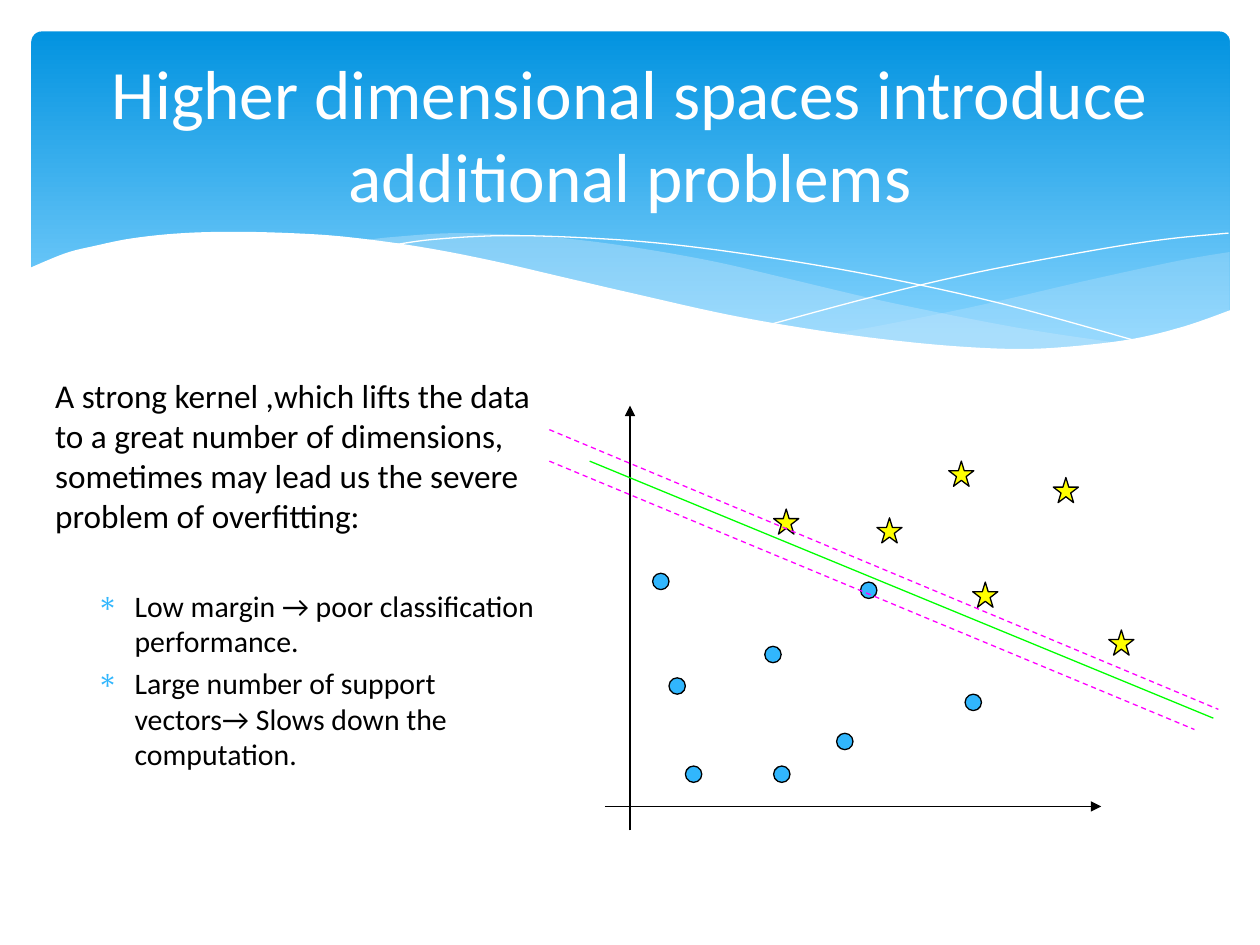
from dataclasses import dataclass
from lxml.etree import SubElement
from pptx import Presentation
from pptx.dml.color import RGBColor
from pptx.enum.dml import MSO_LINE
from pptx.enum.shapes import MSO_CONNECTOR, MSO_SHAPE
from pptx.enum.text import MSO_ANCHOR, MSO_AUTO_SIZE, PP_ALIGN
from pptx.oxml.ns import qn
from pptx.util import Inches, Pt


@dataclass(frozen=True)
class Theme:
    font: str = "Calibri"
    title_size: float = 39.6
    body_size: float = 19
    bullet_size: float = 17
    stroke: float = 0.75
    black: str = "000000"
    white: str = "FFFFFF"
    sky_dark: str = "0293E0"
    sky_light: str = "83D3FE"
    wave: str = "C6E7FC"
    accent: str = "31B6FD"
    star: str = "FFFF00"
    boundary: str = "00FF00"
    margin: str = "FF00FF"


THEME = Theme()

TITLE = "Higher dimensional spaces introduce additional problems"
INTRO = ("A strong kernel ,which lifts the data to a great number of dimensions, "
         "sometimes may lead us the severe problem of overfitting:")
DRAWBACKS = ["Low margin → poor classification performance.",
             "Large number of support vectors→ Slows down the computation."]

RIGHT_WAVE = [
    [(9.76, 2), (9.35, 2.07), (8.61, 2.23), (7.79, 2.42), (7.06, 2.57), (6.61, 2.65)],
    [(6.61, 2.65), (7.05, 2.71), (7.57, 2.76), (8.03, 2.78), (8.54, 2.76),
     (8.97, 2.7), (9.35, 2.62), (9.76, 2.47)],
]
LEFT_WAVE = [
    [(8.93, 2.73), (8.07, 2.6), (7.06, 2.4), (6.29, 2.22), (5.69, 2.08), (5.14, 1.98),
     (4.65, 1.91), (4.2, 1.87), (3.61, 1.85), (3.13, 1.88), (2.86, 1.91)],
    [(2.86, 1.91), (3.42, 1.99), (4.04, 2.11), (4.91, 2.32), (5.66, 2.48), (6.34, 2.61),
     (6.95, 2.7), (7.48, 2.76), (8.07, 2.78), (8.57, 2.77), (8.93, 2.73)],
]
FALLING_CURVE = [[(3.09, 1.95), (3.44, 1.9), (4.01, 1.87), (4.69, 1.89), (5.33, 1.94),
                  (6.08, 2.04), (6.95, 2.19), (7.95, 2.41), (9.07, 2.72)]]
RISING_CURVE = [[(6.13, 2.57), (6.95, 2.35), (7.76, 2.16), (8.66, 1.99), (9.24, 1.9), (9.75, 1.85)]]
WHITE_WAVE = [
    [(9.77, 2.46), (9.4, 2.59), (8.99, 2.69), (8.5, 2.75), (8.09, 2.77), (7.61, 2.75),
     (7.08, 2.7), (6.48, 2.62), (5.79, 2.5), (5.03, 2.33), (4.47, 2.2), (3.91, 2.07),
     (3.4, 1.97), (2.92, 1.9), (2.5, 1.86), (1.93, 1.84), (1.46, 1.85), (1.06, 1.89),
     (0.76, 1.95), (0.52, 2.01), (0.23, 2.13)],
    [(0.23, 3.29), (9.77, 3.29)],
]

DOTS = [(5.31, 5.38), (6.07, 5.13), (5.44, 6.08), (6.83, 4.62),
        (6.14, 6.08), (5.18, 4.55), (7.66, 5.51), (6.64, 5.82)]
STARS = [(6.14, 4.04), (8.36, 3.79), (7.53, 3.66), (6.96, 4.11), (7.72, 4.62), (8.8, 5)]


def rgb(color):
    return RGBColor.from_string(color)


def smooth_curve(knots, steps=6):
    ends = [knots[0], *knots, knots[-1]]
    curve = [knots[0]]
    for a, b, c, d in zip(ends, ends[1:], ends[2:], ends[3:]):
        for t in (step / steps for step in range(1, steps + 1)):
            curve.append(tuple(
                (2 * q + (r - p) * t + (2 * p - 5 * q + 4 * r - s) * t ** 2
                 + (3 * q - p - 3 * r + s) * t ** 3) / 2
                for p, q, r, s in zip(a, b, c, d)))
    return curve


def add_wave(slide, edges, fill=None, opacity=100, line=None):
    outline = [(Inches(x), Inches(y)) for edge in edges for x, y in smooth_curve(edge)]
    builder = slide.shapes.build_freeform(*outline[0], scale=1.0)
    builder.add_line_segments(outline[1:], close=fill is not None)
    wave = builder.convert_to_shape()
    wave.shadow.inherit = False
    if fill:
        wave.fill.solid()
        wave.fill.fore_color.rgb = rgb(fill)
        tint = wave.fill._xPr.find(qn("a:solidFill"))[0]
        SubElement(tint, qn("a:alpha"), val=str(opacity * 1000))
    else:
        wave.fill.background()
    if line:
        wave.line.color.rgb = rgb(line)
        wave.line.width = Pt(0)
    else:
        wave.line.fill.background()


def add_banner(slide):
    banner = slide.shapes.add_shape(MSO_SHAPE.ROUNDED_RECTANGLE, Inches(0.25), Inches(0.25),
                                    Inches(9.51), Inches(2.7))
    banner.adjustments[0] = 0.03
    banner.shadow.inherit = False
    banner.line.fill.background()
    banner.fill.gradient()
    banner.fill.gradient_angle = 270
    shades = [(0, THEME.sky_dark), (0.9, THEME.sky_light)]
    for stop, (position, color) in zip(banner.fill.gradient_stops, shades):
        stop.position = position
        stop.color.rgb = rgb(color)
    add_wave(slide, RIGHT_WAVE, THEME.wave, 29)
    add_wave(slide, LEFT_WAVE, THEME.wave, 40)
    add_wave(slide, FALLING_CURVE, line=THEME.white)
    add_wave(slide, RISING_CURVE, line=THEME.white)
    add_wave(slide, WHITE_WAVE, THEME.white)


def write(paragraph, text, size, color, **layout):
    paragraph.text = text
    for name, value in layout.items():
        setattr(paragraph, name, value)
    for name, value in {"name": THEME.font, "size": Pt(size)}.items():
        setattr(paragraph.font, name, value)
    paragraph.font.color.rgb = rgb(color)


def set_bullet(paragraph):
    properties = paragraph._p.get_or_add_pPr()
    properties.set("marL", str(Inches(0.63)))
    properties.set("indent", str(Inches(-0.3)))
    bullet_color = SubElement(properties, qn("a:buClr"))
    SubElement(bullet_color, qn("a:srgbClr"), val=THEME.accent)
    SubElement(properties, qn("a:buChar"), char="∗")


def place_title(slide):
    title = slide.shapes.title
    box = {"left": 0.5, "top": 0.37, "width": 9, "height": 1.37}
    for name, value in box.items():
        setattr(title, name, Inches(value))
    frame = title.text_frame
    frame.auto_size = MSO_AUTO_SIZE.NONE
    frame.vertical_anchor = MSO_ANCHOR.MIDDLE
    write(frame.paragraphs[0], TITLE, THEME.title_size, THEME.white, alignment=PP_ALIGN.CENTER)
    slide.shapes._spTree.append(title._element)


def add_explanation(slide):
    frame = slide.shapes.add_textbox(Inches(0.34), Inches(2.93), Inches(4.03), Inches(3.77)).text_frame
    frame.word_wrap = True
    write(frame.paragraphs[0], INTRO, THEME.body_size, THEME.black)
    for drawback, gap in zip(DRAWBACKS, (30, 3.4)):
        paragraph = frame.add_paragraph()
        write(paragraph, drawback, THEME.bullet_size, THEME.black, level=1, space_before=Pt(gap))
        set_bullet(paragraph)


def add_line(slide, start, end, color, dashed=False, arrow=False):
    line = slide.shapes.add_connector(MSO_CONNECTOR.STRAIGHT, *map(Inches, start + end))
    line.line.color.rgb = rgb(color)
    line.line.width = Pt(THEME.stroke)
    if dashed:
        line.line.dash_style = MSO_LINE.DASH
    if arrow:
        SubElement(line.line._get_or_add_ln(), qn("a:tailEnd"), type="triangle")
    SubElement(line._element.spPr, qn("a:effectLst"))


def add_samples(slide, kind, size, color, positions):
    for x, y in positions:
        sample = slide.shapes.add_shape(kind, Inches(x), Inches(y), Inches(size), Inches(size))
        sample.shadow.inherit = False
        sample.fill.solid()
        sample.fill.fore_color.rgb = rgb(color)
        sample.line.color.rgb = rgb(THEME.black)
        sample.line.width = Pt(THEME.stroke)


def add_plot(slide):
    add_line(slide, (4.8, 6.4), (8.74, 6.4), THEME.black, arrow=True)
    add_samples(slide, MSO_SHAPE.FLOWCHART_CONNECTOR, 0.13, THEME.accent, DOTS)
    add_line(slide, (5, 6.59), (5, 3.22), THEME.black, arrow=True)
    add_line(slide, (4.68, 3.66), (9.63, 5.7), THEME.boundary)
    add_samples(slide, MSO_SHAPE.STAR_5_POINT, 0.2, THEME.star, STARS)
    add_line(slide, (4.36, 3.66), (9.48, 5.79), THEME.margin, dashed=True)
    add_line(slide, (4.36, 3.41), (9.67, 5.63), THEME.margin, dashed=True)


def main():
    deck = Presentation()
    deck.slide_width, deck.slide_height = Inches(10), Inches(7.5)
    slide = deck.slides.add_slide(deck.slide_layouts[5])
    add_banner(slide)
    add_explanation(slide)
    place_title(slide)
    add_plot(slide)
    deck.save("out.pptx")


if __name__ == "__main__":
    main()
